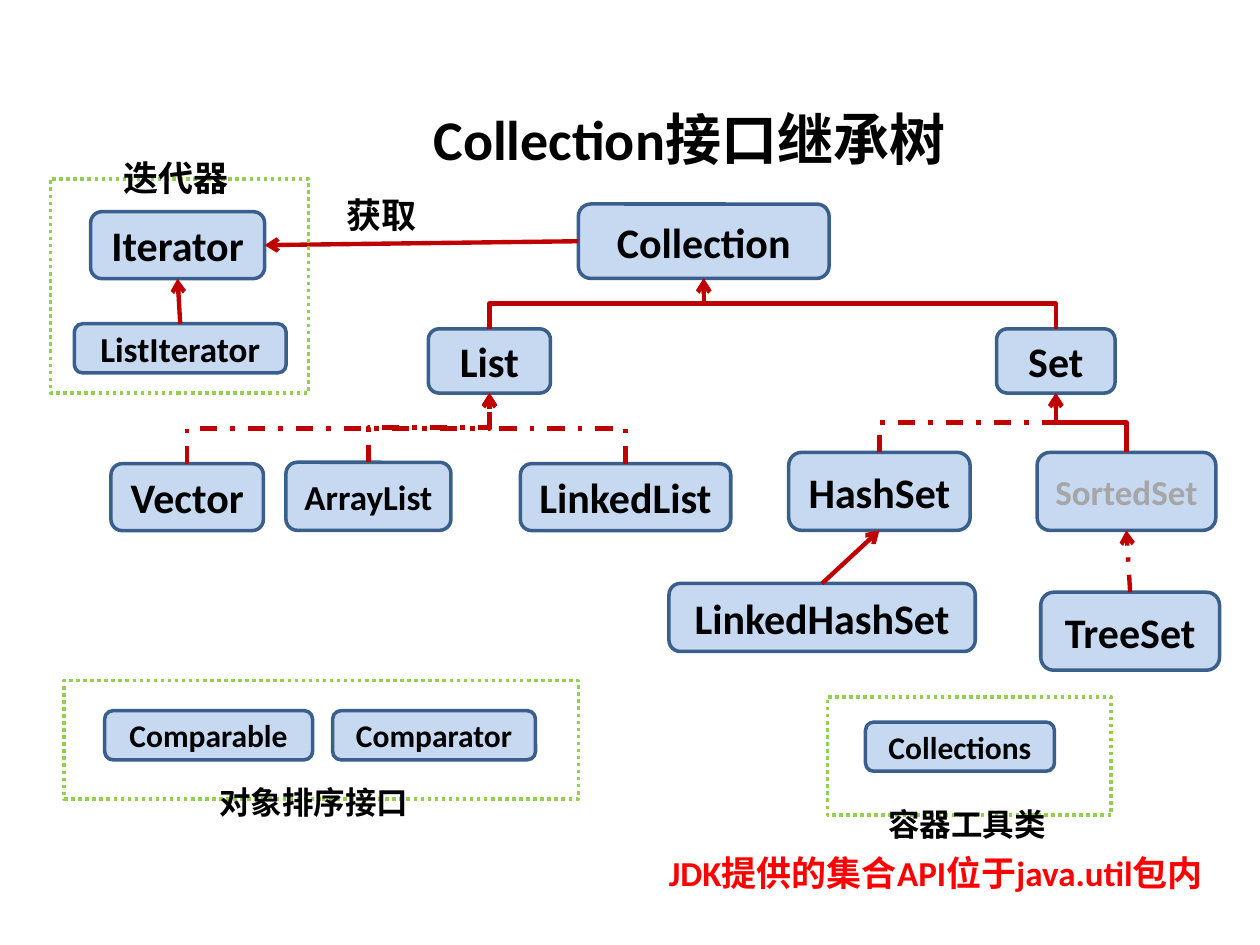
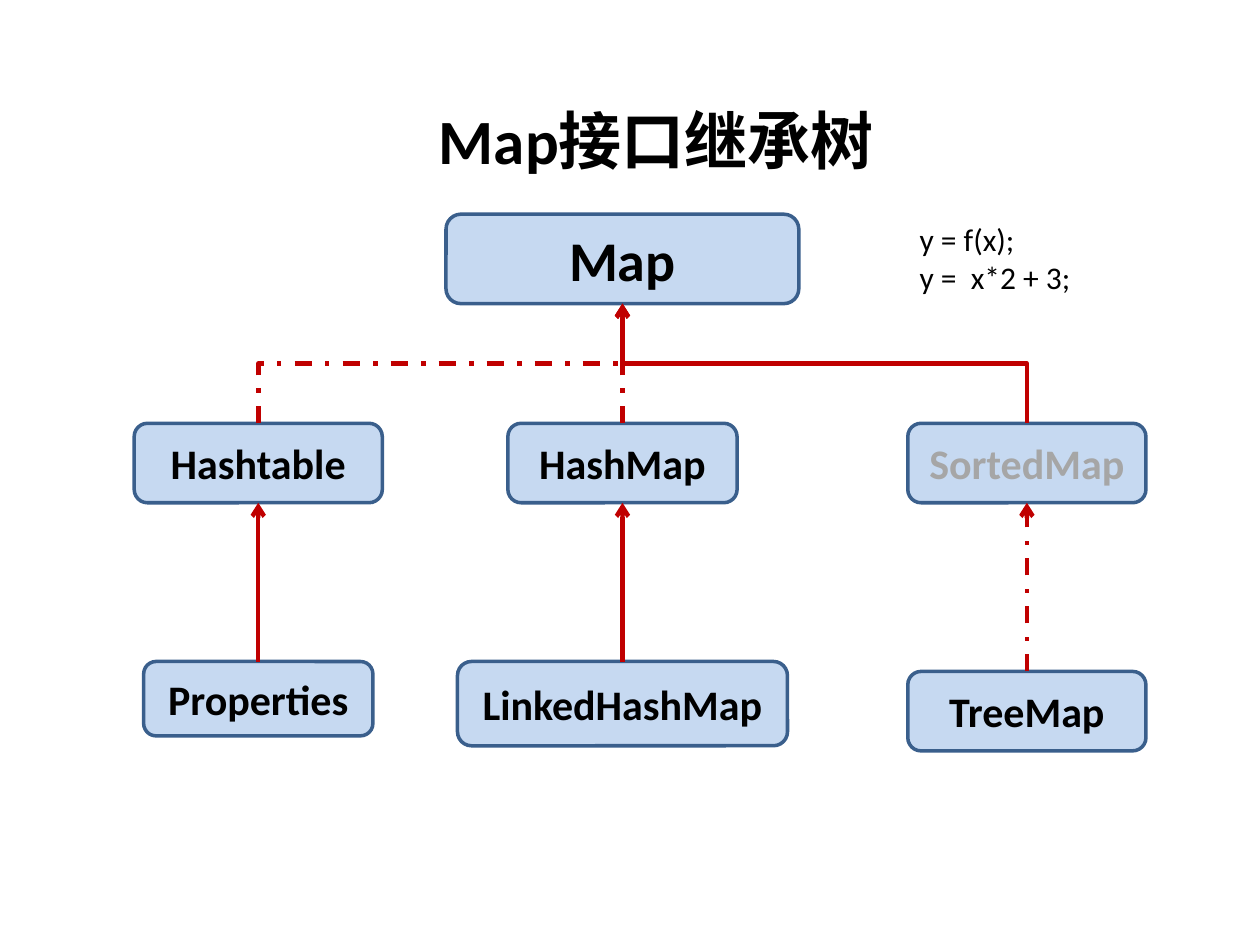
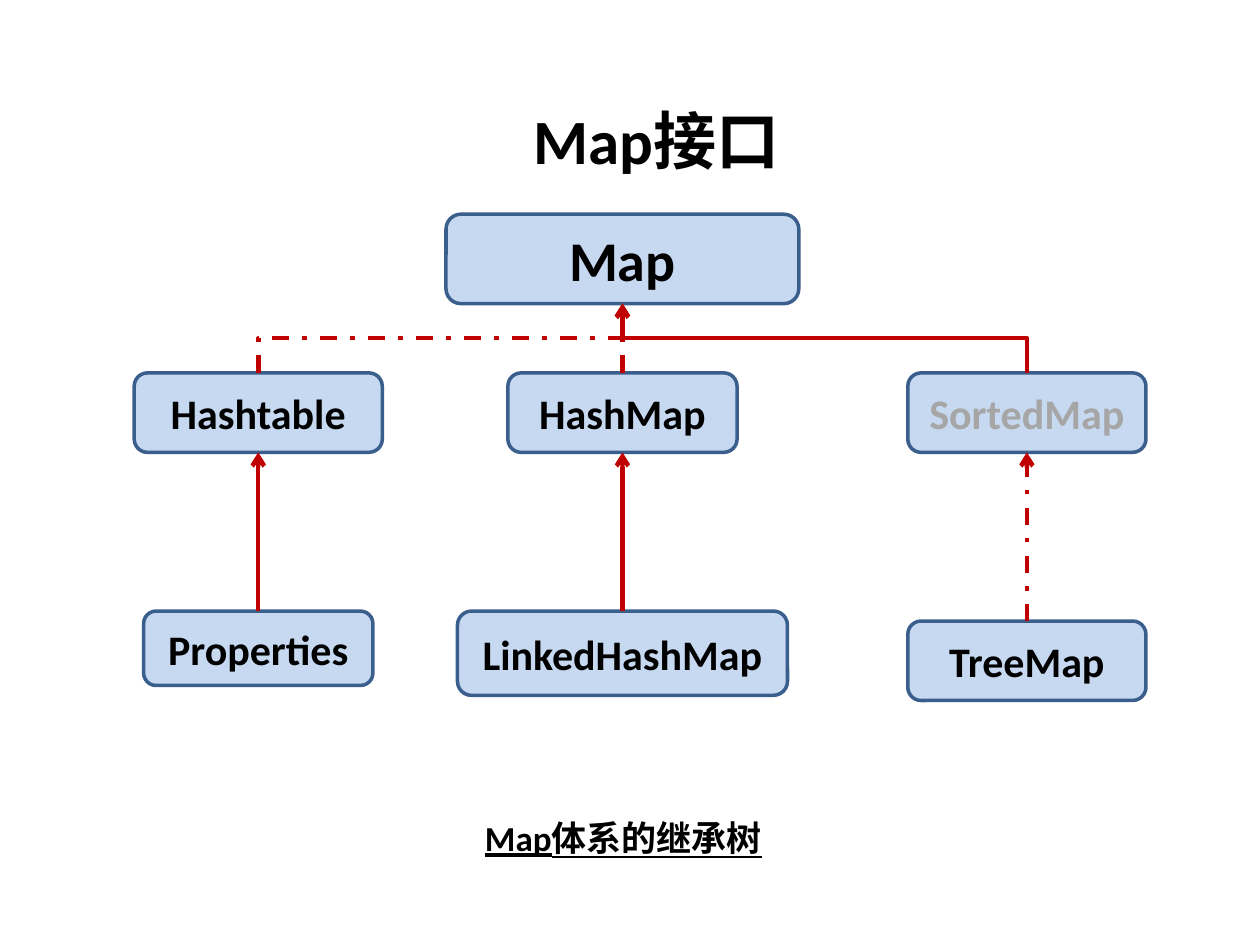
from lxml import etree
from pptx import Presentation
from pptx.dml.color import RGBColor
from pptx.enum.dml import MSO_LINE
from pptx.enum.shapes import MSO_CONNECTOR, MSO_SHAPE
from pptx.enum.text import MSO_ANCHOR, MSO_AUTO_SIZE, PP_ALIGN
from pptx.oxml.ns import qn
from pptx.util import Pt

DASH_DOT, DOTTED = MSO_LINE.DASH_DOT, MSO_LINE.ROUND_DOT
ELBOW, STRAIGHT = MSO_CONNECTOR.ELBOW, MSO_CONNECTOR.STRAIGHT
TOP, LEFT, BOTTOM, RIGHT = range(4)
FONT = "Calibri"
COLORS = {"box": "C6D9F1", "edge": "3A5F8C", "arrow": "C00000", "frame": "92D050",
          "text": "000000", "muted": "A6A6A6", "note": "FF0000", "back": "FFFFFF"}
MUTED = {"SortedSet", "SortedMap"}

# Collection tree: name, left, top, width, height, text size
COLLECTION_BOXES = [
    ("Collection", 330.5, 116.6, 143.3, 42.5, 24),
    ("List", 244.8, 187.9, 69.8, 36.7, 24),
    ("Set", 569.5, 187.9, 67.7, 36.7, 24),
    ("Vector", 63.4, 265, 87.1, 38.2, 24),
    ("ArrayList", 163.4, 264.2, 94.3, 38.9, 20),
    ("LinkedList", 297.4, 265, 120.2, 38.2, 24),
    ("HashSet", 450.7, 258.5, 103.7, 44.6, 24),
    ("SortedSet", 592.6, 258.5, 102.2, 44.6, 20),
    ("LinkedHashSet", 382.3, 333.4, 175, 38.9, 24),
    ("TreeSet", 594.7, 338.4, 102.2, 44.6, 24),
    ("Comparable", 59.8, 406.1, 118.8, 28.1, 18),
    ("Comparator", 190.1, 406.1, 115.9, 28.1, 18),
    ("Collections", 494.6, 412.6, 108, 28.1, 18),
    ("Iterator", 51.8, 121, 99.4, 38.2, 24),
    ("ListIterator", 42.5, 185, 121, 28.1, 20),
]
# Child, parent, connector kind, dashed
COLLECTION_LINKS = [
    ("List", "Collection", ELBOW, False),
    ("Set", "Collection", ELBOW, False),
    ("Vector", "List", ELBOW, True),
    ("ArrayList", "List", ELBOW, True),
    ("LinkedList", "List", ELBOW, True),
    ("HashSet", "Set", ELBOW, True),
    ("SortedSet", "Set", ELBOW, False),
    ("LinkedHashSet", "HashSet", STRAIGHT, False),
    ("TreeSet", "SortedSet", STRAIGHT, True),
    ("ListIterator", "Iterator", STRAIGHT, False),
]
FRAMES = [(28.8, 102.2, 147.6, 122.4), (36.7, 388.8, 293.8, 67.7), (473, 398.2, 162, 67.7)]
# Text, left, top, width, height, size, colour
COLLECTION_LABELS = [
    ("迭代器", 63.4, 85.7, 87.8, 31.7, 20, "text"),
    ("获取", 190.8, 107.3, 59, 31.7, 20, "text"),
    ("对象排序接口", 118.1, 444.2, 126.7, 28.8, 18, "text"),
    ("容器工具类", 500.4, 456.5, 108, 28.8, 18, "text"),
    ("JDK提供的集合API位于java.util包内", 375.1, 483.1, 344.9, 31.7, 20, "note"),
]

# Map tree: name, column centre, drop below the second row, width, height, size
MAP_ROOT = ("Map", 254.9, 122.4, 201.6, 51.1, 32)
MAP_BOXES = [
    ("Hashtable", 147.6, 0, 141.8, 45.4, 24),
    ("HashMap", 355.7, 0, 131, 45.4, 24),
    ("SortedMap", 586.8, 0, 136.1, 45.4, 24),
    ("Properties", 147.6, 136.1, 131, 42.5, 24),
    ("LinkedHashMap", 355.7, 136.1, 188.6, 48.2, 24),
    ("TreeMap", 586.8, 141.8, 136.1, 45.4, 24),
]
MAP_LINKS = [
    ("Hashtable", "Map", ELBOW, True),
    ("SortedMap", "Map", ELBOW, False),
    ("HashMap", "Map", STRAIGHT, True),
    ("Properties", "Hashtable", STRAIGHT, False),
    ("LinkedHashMap", "HashMap", STRAIGHT, False),
    ("TreeMap", "SortedMap", STRAIGHT, True),
]


def rgb(name):
    return RGBColor.from_string(COLORS[name])


def write(tf, text, size, color="text", bold=True, align=PP_ALIGN.LEFT):
    tf.text = text
    for p in tf.paragraphs:
        p.alignment = align
        p.font.name, p.font.size, p.font.bold = FONT, Pt(size), bold
        p.font.color.rgb = rgb(color)


def add_slide(prs, title, place, size, align, anchor):
    s = prs.slides.add_slide(prs.slide_layouts[5])
    s.background.fill.solid()
    s.background.fill.fore_color.rgb = rgb("back")
    sp = s.shapes.title
    sp.left, sp.top, sp.width, sp.height = map(Pt, place)
    tf = sp.text_frame
    tf.auto_size, tf.vertical_anchor = MSO_AUTO_SIZE.NONE, anchor
    write(tf, title, size, align=align)
    return s


def add_label(s, text, x, y, w, h, size, color="text", bold=True):
    tf = s.shapes.add_textbox(Pt(x), Pt(y), Pt(w), Pt(h)).text_frame
    tf.word_wrap = True
    write(tf, text, size, color, bold)
    return tf


def add_outline(s, kind, place, color):
    sp = s.shapes.add_shape(kind, *map(Pt, place))
    sp.shadow.inherit = False
    sp.line.color.rgb, sp.line.width = rgb(color), Pt(2)
    return sp


def add_boxes(s, boxes):
    shapes = {}
    for name, x, y, w, h, size in boxes:
        sp = add_outline(s, MSO_SHAPE.ROUNDED_RECTANGLE, (x, y, w, h), "edge")
        sp.fill.solid()
        sp.fill.fore_color.rgb = rgb("box")
        sp.text_frame.vertical_anchor = MSO_ANCHOR.MIDDLE
        write(sp.text_frame, name, size, "muted" if name in MUTED else "text",
              align=PP_ALIGN.CENTER)
        shapes[name] = sp
    return shapes


def turn_upward(c):
    """Make an elbow leave the child vertically, by a quarter turn about its centre."""
    x1, y1, x2, y2 = c.begin_x, c.begin_y, c.end_x, c.end_y
    w, h = abs(y2 - y1), abs(x2 - x1)
    c.left, c.top, c.width, c.height = (x1 + x2 - w) // 2, (y1 + y2 - h) // 2, w, h
    xfrm = c._element.spPr.find(qn("a:xfrm"))
    rightward = x2 > x1
    xfrm.set("rot", str((90 if rightward else 270) * 60000))
    xfrm.set("flipH", "1" if rightward else "0")
    xfrm.set("flipV", "1")


def add_arrow(s, child, parent, kind, dashed, sides=(TOP, BOTTOM)):
    c = s.shapes.add_connector(kind, 0, 0, 0, 0)
    c.begin_connect(child, sides[0])
    c.end_connect(parent, sides[1])
    if kind == ELBOW:
        turn_upward(c)
    c.line.color.rgb, c.line.width = rgb("arrow"), Pt(2.5)
    if dashed:
        c.line.dash_style = DASH_DOT
    spPr = c._element.spPr
    etree.SubElement(spPr.find(qn("a:ln")), qn("a:tailEnd"), type="arrow")
    etree.SubElement(spPr, qn("a:effectLst"))


def add_tree(s, boxes, links):
    shapes = add_boxes(s, boxes)
    for child, parent, kind, dashed in links:
        add_arrow(s, shapes[child], shapes[parent], kind, dashed)
    return shapes


def add_map_slide(prs, title, row_top):
    s = add_slide(prs, title, (206.6, 43.2, 337, 72.7), 36, PP_ALIGN.CENTER, MSO_ANCHOR.MIDDLE)
    boxes = [(name, center - w / 2, row_top + drop, w, h, size)
             for name, center, drop, w, h, size in MAP_BOXES]
    add_tree(s, [MAP_ROOT] + boxes, MAP_LINKS)
    return s


def main():
    prs = Presentation()
    prs.slide_width, prs.slide_height = Pt(720), Pt(540)

    # Collection tree
    s = add_slide(prs, "Collection接口继承树", (240.5, 56.2, 383, 46.1), 32,
                  PP_ALIGN.LEFT, MSO_ANCHOR.TOP)
    shapes = add_tree(s, COLLECTION_BOXES, COLLECTION_LINKS)
    add_arrow(s, shapes["Collection"], shapes["Iterator"], STRAIGHT, False, (LEFT, RIGHT))
    for place in FRAMES:
        sp = add_outline(s, MSO_SHAPE.RECTANGLE, place, "frame")
        sp.fill.background()
        sp.line.dash_style = DOTTED
    for label in COLLECTION_LABELS:
        add_label(s, *label)

    # Map tree with formulas
    s = add_map_slide(prs, "Map接口继承树", 241.9)
    add_label(s, "y = f(x);\ny =  x*2 + 3;", 518.4, 122.4, 187.2, 51.1, 18, bold=False)

    # Map tree with caption
    s = add_map_slide(prs, "Map接口", 213.1)
    tf = add_label(s, "Map体系的继承树", 270, 463, 188.6, 31.7, 20)
    tf.paragraphs[0].font.underline = True

    prs.save("out.pptx")


if __name__ == "__main__":
    main()
